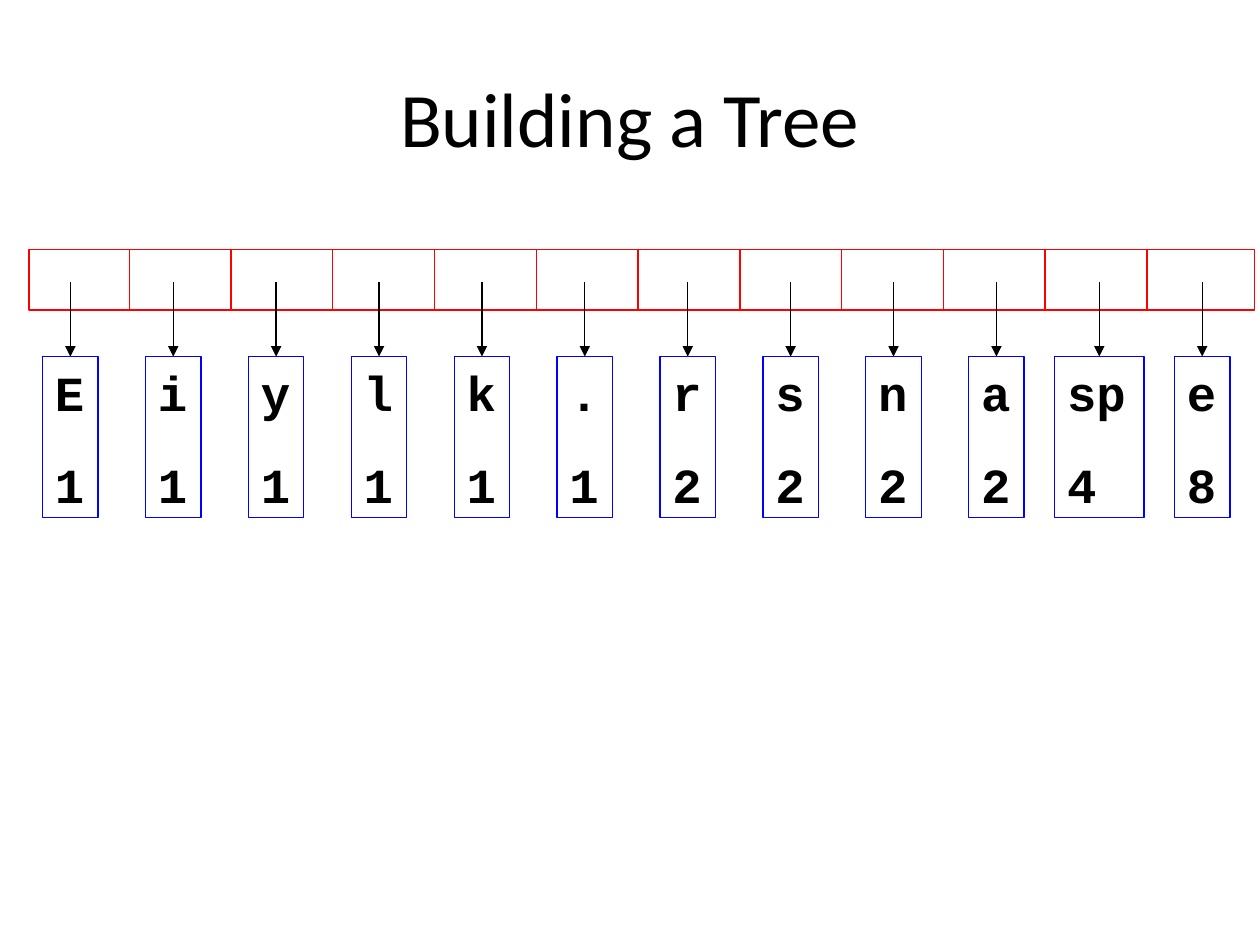
from lxml import etree
from pptx import Presentation
from pptx.dml.color import RGBColor
from pptx.enum.shapes import MSO_CONNECTOR, MSO_SHAPE
from pptx.enum.text import MSO_ANCHOR, PP_ALIGN
from pptx.oxml.ns import qn
from pptx.util import Inches, Pt

RECTANGLE = MSO_SHAPE.RECTANGLE
STRAIGHT = MSO_CONNECTOR.STRAIGHT
TOP, MIDDLE = MSO_ANCHOR.TOP, MSO_ANCHOR.MIDDLE
LEFT, CENTER = PP_ALIGN.LEFT, PP_ALIGN.CENTER

WIDTH, HEIGHT = 10, 7.5
RED, BLUE, BLACK, WHITE = "FF0000", "0000FF", "000000", "FFFFFF"
TITLE_FONT = {"name": "Calibri", "size": Pt(44)}
NODE_FONT = {"name": "Courier New", "size": Pt(28), "bold": True}
FREQUENCIES = [("E", 1), ("i", 1), ("y", 1), ("l", 1), ("k", 1), (".", 1),
               ("r", 2), ("s", 2), ("n", 2), ("a", 2), ("sp", 4), ("e", 8)]


def color(value):
    return RGBColor.from_string(value)


def set_text(frame, lines, font, align, gap=0):
    for index, line in enumerate(lines):
        para = frame.paragraphs[0] if index == 0 else frame.add_paragraph()
        para.alignment = align
        if index:
            para.space_before = Pt(gap)
        span = para.add_run()
        span.text = line
        span.font.color.rgb = color(BLACK)
        for name, value in font.items():
            setattr(span.font, name, value)


def add_rectangle(page, box, line, fill=None):
    shape = page.shapes.add_shape(RECTANGLE, *map(Inches, box))
    shape.shadow.inherit = False
    if fill:
        shape.fill.solid()
        shape.fill.fore_color.rgb = color(fill)
    else:
        shape.fill.background()
    shape.line.color.rgb = color(line)
    shape.line.width = Pt(0.75)
    return shape


def add_vertical(page, x, top, bottom, line, arrow=False):
    connector = page.shapes.add_connector(
        STRAIGHT, *map(Inches, (x, top, x, bottom)))
    connector.line.color.rgb = color(line)
    connector.line.width = Pt(0.75)
    if arrow:
        etree.SubElement(connector.line._get_or_add_ln(), qn("a:tailEnd"),
                         type="triangle")
    etree.SubElement(connector._element.spPr, qn("a:effectLst"))


def add_title(page, box, title):
    frame = page.shapes.add_textbox(*map(Inches, box)).text_frame
    frame.word_wrap = True
    frame.vertical_anchor = MIDDLE
    set_text(frame, [title], TITLE_FONT, CENTER)


def add_queue(page, box, count):
    left, top, width, height = box
    add_rectangle(page, box, RED, WHITE)
    column = width * 0.083
    first = left + width - column * (count - 1) - 0.05
    for index in range(count - 1):
        add_vertical(page, first + index * column, top, top + height, RED)


def add_node(page, center, top, height, symbol, frequency):
    width = 0.44 + 0.27 * (len(symbol) - 1)
    shape = add_rectangle(page, (center - width / 2, top, width, height), BLUE)
    frame = shape.text_frame
    frame.word_wrap = False
    frame.vertical_anchor = TOP
    margins = {"margin_left": 0.1, "margin_right": 0.1,
               "margin_top": 0.05, "margin_bottom": 0.05}
    for name, value in margins.items():
        setattr(frame, name, Inches(value))
    set_text(frame, [symbol, str(frequency)], NODE_FONT, LEFT, 19)


def add_nodes(page, box, frequencies):
    left, top, width, height = box
    column = width / len(frequencies)
    for index, (symbol, frequency) in enumerate(frequencies):
        center = left + (index + 0.5) * column
        add_vertical(page, center, top - 0.59, top, BLACK, arrow=True)
        add_node(page, center, top, height, symbol, frequency)


def main():
    deck = Presentation()
    deck.slide_width, deck.slide_height = Inches(WIDTH), Inches(HEIGHT)
    page = deck.slides.add_slide(deck.slide_layouts[6])
    add_title(page, (0.5, 0.3, WIDTH - 1, 1.25), "Building a Tree")
    add_queue(page, (0.23, 1.98, 9.73, 0.48), len(FREQUENCIES))
    add_nodes(page, (0.15, 2.83, 9.8, 1.28), FREQUENCIES)
    deck.save("out.pptx")


if __name__ == "__main__":
    main()
